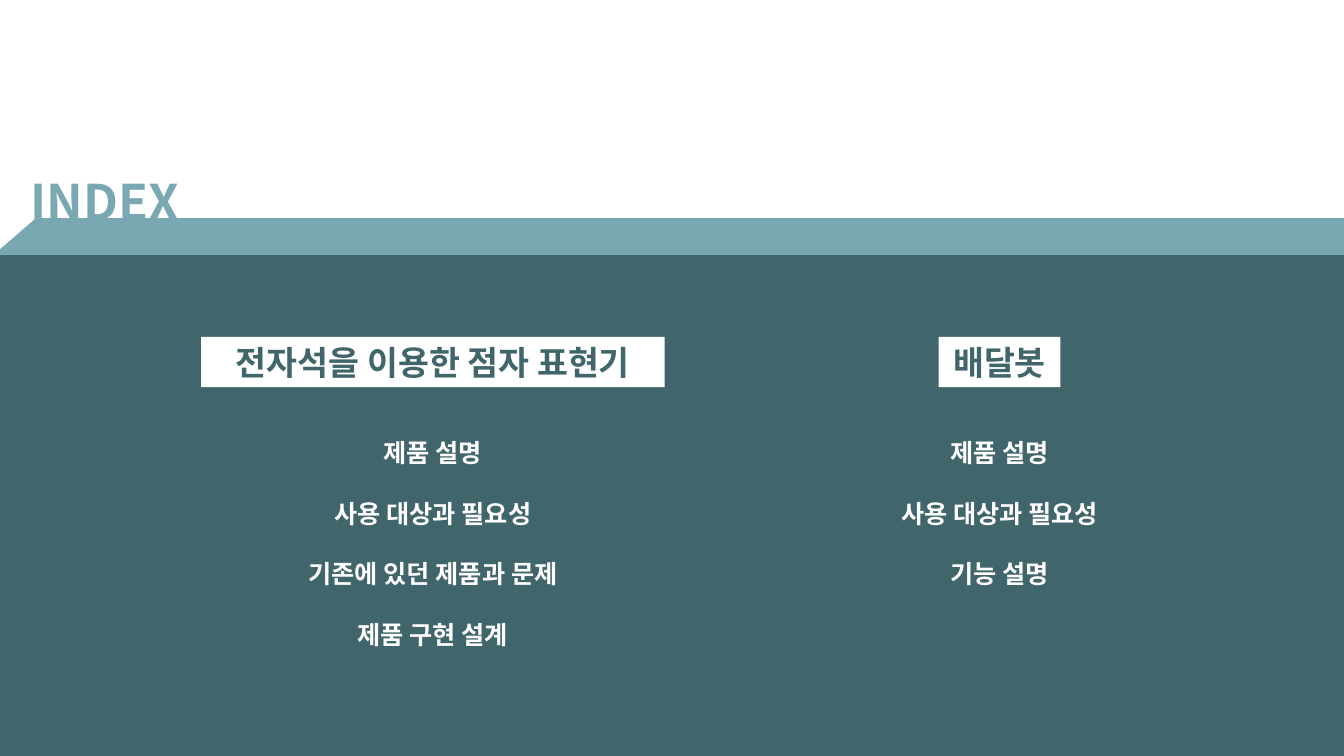
from dataclasses import dataclass

from lxml.etree import SubElement
from pptx import Presentation
from pptx.dml.color import RGBColor
from pptx.enum.shapes import MSO_SHAPE
from pptx.enum.text import MSO_ANCHOR, MSO_AUTO_SIZE, PP_ALIGN
from pptx.oxml.ns import qn
from pptx.util import Cm, Pt


@dataclass(frozen=True)
class Theme:
    font: str = "Noto Sans CJK KR"
    white: RGBColor = RGBColor(0xFF, 0xFF, 0xFF)
    light_teal: RGBColor = RGBColor(0x79, 0xA8, 0xB2)
    dark_teal: RGBColor = RGBColor(0x40, 0x65, 0x6B)
    title_size: Pt = Pt(35)
    heading_size: Pt = Pt(24)
    item_size: Pt = Pt(18)


THEME = Theme()
SLIDE_WIDTH, SLIDE_HEIGHT = 33.87, 19.05
BAND_TOP, PANEL_TOP = 5.5, 6.43
HEADING_TOP, HEADING_HEIGHT = 8.49, 1.27
ITEMS_TOP, ITEM_PITCH, TEXT_INSET = 10.13, 1.54, 0.13

# Center and heading width of each column, in centimetres
COLUMNS = [
    (10.91, 11.68, "전자석을 이용한 점자 표현기",
     ["제품 설명", "사용 대상과 필요성", "기존에 있던 제품과 문제", "제품 구현 설계"]),
    (25.19, 3.07, "배달봇",
     ["제품 설명", "사용 대상과 필요성", "기능 설명"]),
]


def apply_format(target, values):
    for name, value in values.items():
        setattr(target, name, value)


def add_filled_shape(slide, kind, box, color):
    shape = slide.shapes.add_shape(kind, *map(Cm, box))
    shape.shadow.inherit = False
    shape.fill.solid()
    shape.fill.fore_color.rgb = color
    shape.line.fill.background()
    return shape


def write_lines(shape, lines, size, color, line_spacing=None):
    frame = shape.text_frame
    apply_format(frame, {
        "word_wrap": False,
        "auto_size": MSO_AUTO_SIZE.SHAPE_TO_FIT_TEXT,
        "margin_top": Cm(TEXT_INSET),
        "margin_bottom": Cm(TEXT_INSET),
    })
    for index, line in enumerate(lines):
        paragraph = frame.paragraphs[0] if index == 0 else frame.add_paragraph()
        apply_format(paragraph, {"alignment": PP_ALIGN.CENTER,
                                 "line_spacing": line_spacing})
        run = paragraph.add_run()
        run.text = line
        apply_format(run.font, {"name": THEME.font, "size": size, "bold": True})
        run.font.color.rgb = color
        # Korean letters take the East Asian typeface
        SubElement(run.font._element, qn("a:ea"), typeface=THEME.font)


def add_text(slide, box, lines, size, color, line_spacing=None):
    text_box = slide.shapes.add_textbox(*map(Cm, box))
    write_lines(text_box, lines, size, color, line_spacing)


def add_heading(slide, box, text):
    heading = add_filled_shape(slide, MSO_SHAPE.RECTANGLE, box, THEME.white)
    write_lines(heading, [text], THEME.heading_size, THEME.dark_teal)
    heading.text_frame.vertical_anchor = MSO_ANCHOR.MIDDLE


def add_background(slide):
    for top, color in ((BAND_TOP, THEME.light_teal), (PANEL_TOP, THEME.dark_teal)):
        add_filled_shape(slide, MSO_SHAPE.RECTANGLE,
                         (0, top, SLIDE_WIDTH, SLIDE_HEIGHT - top), color)
    corner = add_filled_shape(slide, MSO_SHAPE.ISOSCELES_TRIANGLE,
                              (0, 5.49, 0.91, 0.79), THEME.white)
    corner.adjustments[0] = 0
    corner.element.spPr.xfrm.set("flipV", "1")


def add_column(slide, center, heading_width, heading, items):
    add_heading(slide, (center - heading_width / 2, HEADING_TOP,
                        heading_width, HEADING_HEIGHT), heading)
    items_width = 7
    add_text(slide, (center - items_width / 2, ITEMS_TOP, items_width,
                     len(items) * ITEM_PITCH),
             items, THEME.item_size, THEME.white, line_spacing=2.0)


def main():
    presentation = Presentation()
    presentation.slide_width = Cm(SLIDE_WIDTH)
    presentation.slide_height = Cm(SLIDE_HEIGHT)
    slide = presentation.slides.add_slide(presentation.slide_layouts[6])

    # Band, panel and cut corner
    add_background(slide)

    # Title
    add_text(slide, (0.48, 4.19, 4.34, 1.75), ["INDEX"],
             THEME.title_size, THEME.light_teal)

    # Contents
    for column in COLUMNS:
        add_column(slide, *column)

    presentation.save("out.pptx")


if __name__ == "__main__":
    main()
